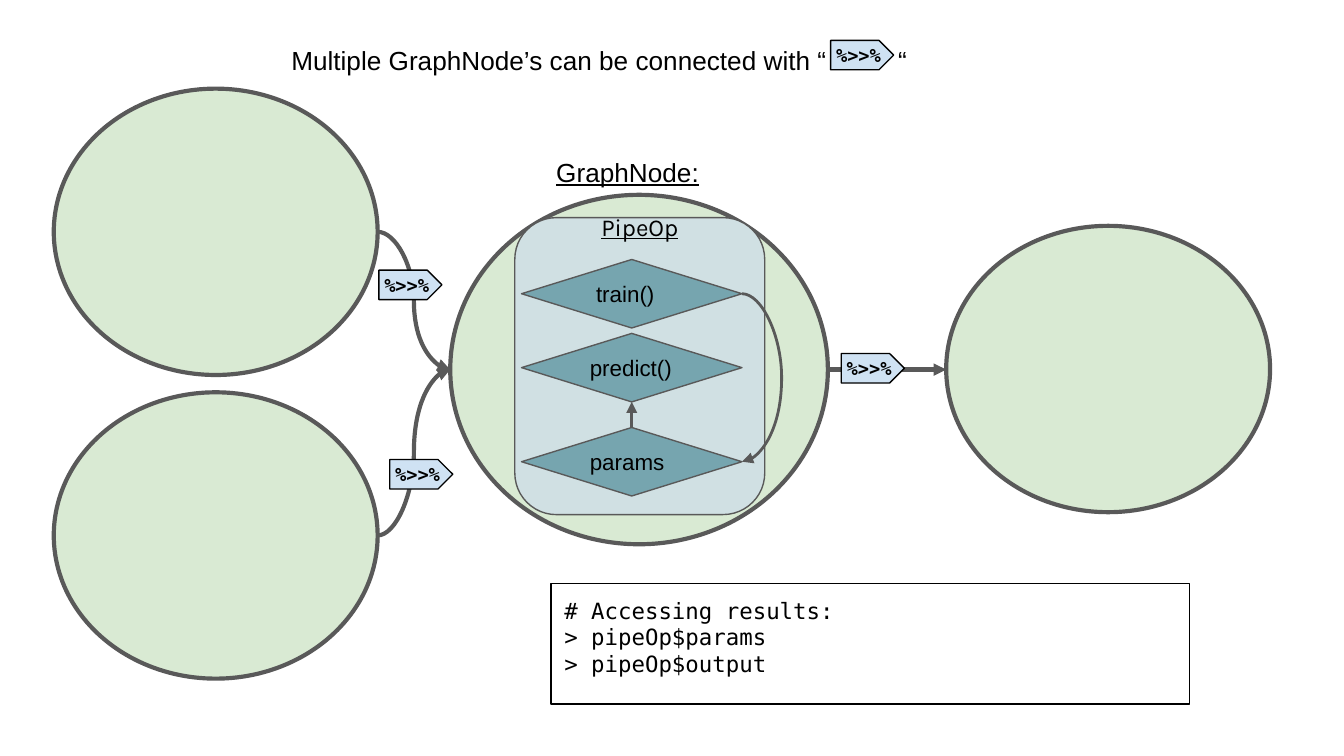
"""Build a slide showing graph nodes joined by the %>>% operator."""
import pptx
import pptx.util
import pptx.dml.color
import pptx.enum.shapes
import pptx.enum.text
import pptx.oxml
import pptx.oxml.ns

Pt = pptx.util.Pt
Kind = pptx.enum.shapes.MSO_SHAPE
Link = pptx.enum.shapes.MSO_CONNECTOR
Align = pptx.enum.text.PP_ALIGN
Anchor = pptx.enum.text.MSO_ANCHOR

HUES = {"node": "D9EAD3", "pipe": "D0E0E3", "step": "76A5AF", "tag": "CFE2F3",
        "edge": "595959", "ink": "000000"}
SANS, MONO = "Arial", "DejaVu Sans Mono"

MAIN = (241.2, 104.4, 202.3, 187.2)
NODES = [(28.8, 47.5), (28.8, 210.2), (506.9, 121)]
NODE_SIZE = (173.5, 153.4)
PIPE = (275.8, 116.6, 133.9, 159.1)
STEPS = [(" train()", 139), ("predict()", 178.6), ("params", 229)]
STEP_X, STEP_W, STEP_H = 279.4, 118.1, 36.7
TAGS = [(208.8, 246.2), (203, 144.7), (450.7, 189.4), (445, 21.6)]
TAG_SIZE = (33.8, 15.8)
LABELS = [
    ("GraphNode:", (290.9, 76.3, 110, 32), SANS, 14, True),
    ("Multiple GraphNode’s can be connected with “", (149, 16.6, 310, 32), SANS, 14, False),
    ("“", (474, 16.6, 40, 32), SANS, 14, False),
]
CODE = "# Accessing results:\n> pipeOp$params\n> pipeOp$output"
CODE_BOX = (295.2, 312.5, 342, 64.8)


def tint(name):
    return pptx.dml.color.RGBColor.from_string(HUES[name])


def write(shape, text, font, size, align=Align.LEFT, anchor=Anchor.TOP,
          inset=7.2, wrap=True, bold=False, under=False):
    frame = shape.text_frame
    frame.text = text
    frame.word_wrap = wrap
    frame.vertical_anchor = anchor
    frame.margin_left = frame.margin_right = Pt(inset)
    frame.margin_top = frame.margin_bottom = Pt(inset)
    for para in frame.paragraphs:
        para.alignment = align
        for run in para.runs:
            run.font.name, run.font.size = font, Pt(size)
            run.font.bold, run.font.underline = bold, under
            run.font.color.rgb = tint("ink")


def draw(slide, kind, box, fill=None, edge="edge", weight=0.75):
    shape = slide.shapes.add_shape(kind, *map(Pt, box))
    shape.shadow.inherit = False
    if fill:
        shape.fill.solid()
        shape.fill.fore_color.rgb = tint(fill)
    else:
        shape.fill.background()
    shape.line.color.rgb = tint(edge)
    shape.line.width = Pt(weight)
    return shape


def label(slide, text, box, font, size, under, **style):
    area = slide.shapes.add_textbox(*map(Pt, box))
    write(area, text, font, size, under=under, **style)


def join(slide, kind, start, end, weight, bend=None):
    line = slide.shapes.add_connector(kind, *map(Pt, start + end))
    line.line.color.rgb = tint("edge")
    line.line.width = Pt(weight)
    props = line.line._get_or_add_ln()
    space = pptx.oxml.ns.nsdecls("a")
    props.append(pptx.oxml.parse_xml(f'<a:tailEnd {space} type="triangle"/>'))
    props.addnext(pptx.oxml.parse_xml(f"<a:effectLst {space}/>"))
    if bend:
        shape = line._element.spPr.find(pptx.oxml.ns.qn("a:prstGeom"))
        for old in list(shape):
            shape.remove(old)
        shape.append(pptx.oxml.parse_xml(
            f'<a:avLst {space}><a:gd name="adj1" fmla="val {bend}"/></a:avLst>'))


def main():
    deck = pptx.Presentation()
    deck.slide_width, deck.slide_height = Pt(720), Pt(405)
    slide = deck.slides.add_slide(deck.slide_layouts[6])

    draw(slide, Kind.OVAL, MAIN, "node", weight=2.25)
    draw(slide, Kind.ROUNDED_RECTANGLE, PIPE, "pipe")
    label(slide, "PipeOp", (PIPE[0], 113.5, PIPE[2], 16), "Karla", 13, True,
          align=Align.CENTER, anchor=Anchor.MIDDLE, inset=0)
    for text, top in STEPS:
        step = draw(slide, Kind.FLOWCHART_DECISION, (STEP_X, top, STEP_W, STEP_H), "step")
        write(step, text, SANS, 12, anchor=Anchor.MIDDLE)
        step.text_frame.margin_right = 0

    train, predict, params = [top for _, top in STEPS]
    side, mid = STEP_X + STEP_W, STEP_X + STEP_W / 2
    join(slide, Link.CURVE, (side, train + STEP_H / 2),
         (side + 0.05, params + STEP_H / 2), 1.5, 37500000)
    join(slide, Link.STRAIGHT, (mid, params), (mid, predict + STEP_H), 1.5)

    wide, high = NODE_SIZE
    for spot in NODES:
        draw(slide, Kind.OVAL, spot + NODE_SIZE, "node", weight=2.25)
    level = MAIN[1] + MAIN[3] / 2
    join(slide, Link.STRAIGHT, (MAIN[0] + MAIN[2], level), (NODES[2][0], level), 2.25)
    for left, top in NODES[:2]:
        join(slide, Link.CURVE, (left + wide, top + high / 2), (MAIN[0], level), 2.25, 50000)

    for text, box, font, size, under in LABELS:
        label(slide, text, box, font, size, under)
    for spot in TAGS:
        tag = draw(slide, Kind.PENTAGON, spot + TAG_SIZE, "tag", "ink")
        write(tag, "%>>%", MONO, 10, Align.CENTER, Anchor.MIDDLE, 0, False, bold=True)
    write(draw(slide, Kind.RECTANGLE, CODE_BOX, edge="ink"), CODE, MONO, 12)
    deck.save("out.pptx")


if __name__ == "__main__":
    main()
